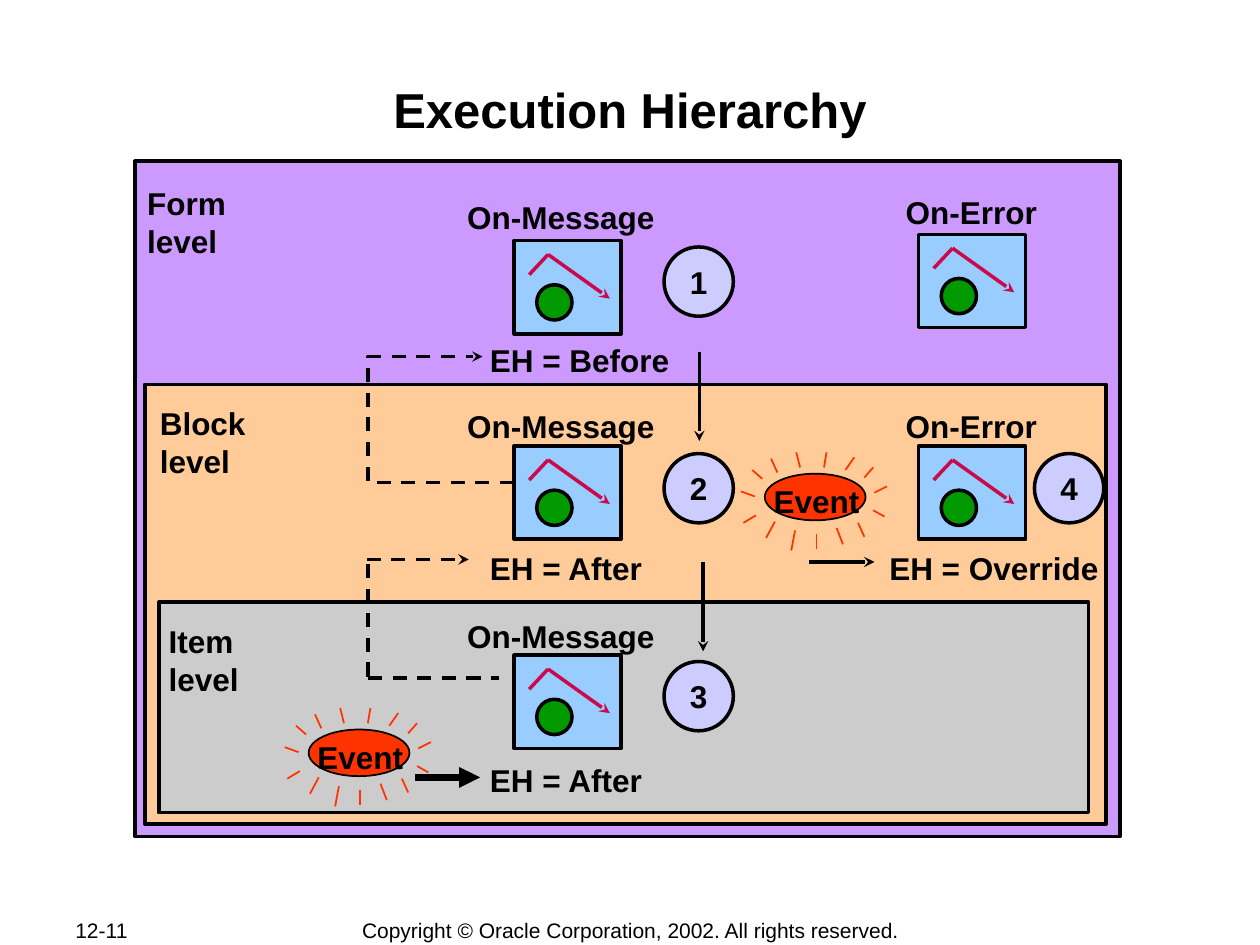
from lxml import etree
from pptx import Presentation
from pptx.dml.color import RGBColor
from pptx.enum.dml import MSO_LINE
from pptx.enum.shapes import MSO_CONNECTOR, MSO_SHAPE
from pptx.enum.text import MSO_ANCHOR, PP_ALIGN
from pptx.oxml.ns import qn
from pptx.util import Inches, Pt

RECT, OVAL = MSO_SHAPE.RECTANGLE, MSO_SHAPE.OVAL
STRAIGHT, DASH = MSO_CONNECTOR.STRAIGHT, MSO_LINE.DASH
TOP, MIDDLE = MSO_ANCHOR.TOP, MSO_ANCHOR.MIDDLE
LEFT, CENTER = PP_ALIGN.LEFT, PP_ALIGN.CENTER
BLACK, RED = "000000", "FF3300"
RAYS = [
    (0.10, -0.01, 0.05, -0.12), (0.28, -0.05, 0.25, -0.17),
    (0.47, -0.05, 0.49, -0.17), (0.64, -0.03, 0.71, -0.13),
    (0.79, 0.03, 0.86, -0.05), (0.97, 0.10, 0.87, 0.15),
    (0.95, 0.34, 0.86, 0.29), (0.79, 0.50, 0.74, 0.39),
    (0.62, 0.56, 0.57, 0.43), (0.41, 0.60, 0.41, 0.48),
    (0.21, 0.61, 0.24, 0.45), (0.01, 0.51, 0.08, 0.38),
    (-0.17, 0.39, -0.07, 0.33), (-0.19, 0.14, -0.08, 0.18),
    (-0.10, -0.03, -0.02, 0.04),
]


def color(code):
    """Return the colour for a hex string."""
    return RGBColor.from_string(code)


def write(frame, text, size=18, bold=True, align=LEFT, anchor=TOP):
    """Fill a text frame, breaking lines at each newline."""
    frame.word_wrap = False
    frame.vertical_anchor = anchor
    para = frame.paragraphs[0]
    para.alignment = align
    for i, line in enumerate(text.split("\n")):
        if i:
            para.add_line_break()
        run = para.add_run()
        run.text = line
        run.font.name = "Arial"
        run.font.size = Pt(size)
        run.font.bold = bold
        run.font.color.rgb = color(BLACK)


def label(slide, box, text, **style):
    """Add a text box."""
    area = slide.shapes.add_textbox(*map(Inches, box))
    write(area.text_frame, text, **style)


def shape(slide, kind, box, fill, width=2):
    """Add a filled shape with a black outline."""
    item = slide.shapes.add_shape(kind, *map(Inches, box))
    item.shadow.inherit = False
    item.fill.solid()
    item.fill.fore_color.rgb = color(fill)
    item.line.color.rgb = color(BLACK)
    item.line.width = Pt(width)
    return item


def stroke(item, code, width, head=None, dash=False):
    """Style a line and its arrowhead."""
    item.line.color.rgb = color(code)
    item.line.width = Pt(width)
    if dash:
        item.line.dash_style = DASH
    if head:
        etree.SubElement(item.line._get_or_add_ln(), qn("a:tailEnd"), type=head)


def line(slide, ends, code=BLACK, width=2, head=None, dash=False):
    """Add a straight line between two points."""
    item = slide.shapes.add_connector(STRAIGHT, *map(Inches, ends))
    stroke(item, code, width, head, dash)
    etree.SubElement(item._element.spPr, qn("a:effectLst"))


def path(slide, points):
    """Add a dashed open outline that ends in an arrow."""
    spots = [(Inches(x), Inches(y)) for x, y in points]
    pen = slide.shapes.build_freeform(*spots[0])
    pen.add_line_segments(spots[1:], close=False)
    item = pen.convert_to_shape()
    item.shadow.inherit = False
    item.fill.background()
    stroke(item, BLACK, 2, "stealth", True)


def level(slide, box, fill, name, shift, width):
    """Draw one nested level with its name in the corner."""
    shape(slide, RECT, box, fill)
    label(slide, (box[0] + shift[0], box[1] + shift[1], width, 0.7), name)


def icon(slide, x, y):
    """Draw a trigger icon at its top left corner."""
    shape(slide, RECT, (x, y, 0.85, 0.74), "99CCFF")
    shape(slide, OVAL, (x + 0.18, y + 0.35, 0.28, 0.28), "009900")
    top = (x + 0.27, y + 0.11)
    line(slide, (*top, x + 0.12, y + 0.27), "CB0A4C")
    line(slide, (*top, x + 0.76, y + 0.46), "CB0A4C", head="stealth")


def event(slide, x, y):
    """Draw an event oval with rays around it."""
    shape(slide, OVAL, (x, y, 0.8, 0.37), RED, 1)
    label(slide, (x - 0.03, y + 0.02, 0.88, 0.4), "Event", align=CENTER)
    for a, b, c, d in RAYS:
        line(slide, (x + a, y + b, x + c, y + d), RED, 1)


def step(slide, x, y, text):
    """Draw a numbered circle."""
    disc = shape(slide, OVAL, (x, y, 0.55, 0.55), "CCCCFF")
    write(disc.text_frame, text, align=CENTER, anchor=MIDDLE)


def heading(slide, box, text):
    """Place the title placeholder."""
    title = slide.shapes.title
    title.left, title.top, title.width, title.height = map(Inches, box)
    write(title.text_frame, text, size=28, align=CENTER)
    frame = title.text_frame
    frame.word_wrap = True
    frame.margin_top = frame.margin_bottom = Inches(0.01)


def footer(slide, y):
    """Place the page number and the copyright line."""
    small = {"size": 12, "bold": False, "anchor": MIDDLE}
    label(slide, (0.5, y, 1.06, 0.2), "12-11", **small)
    label(slide, (2.76, y, 4.49, 0.21),
          "Copyright © Oracle Corporation, 2002. All rights reserved.",
          align=CENTER, **small)


def flow(slide):
    """Draw the arrows that join the levels."""
    line(slide, (3.29, 6.17, 3.81, 6.17), width=4, head="triangle")
    line(slide, (6.42, 4.46, 6.94, 4.46), head="stealth")
    line(slide, (5.55, 2.79, 5.55, 3.5), head="stealth")
    line(slide, (5.58, 4.46, 5.58, 5.17), head="stealth")
    line(slide, (2.91, 4.44, 3.72, 4.44), head="stealth", dash=True)
    line(slide, (2.92, 5.37, 2.92, 4.45), dash=True)
    line(slide, (2.92, 5.38, 3.96, 5.38), dash=True)
    path(slide, [(4.08, 3.83), (2.92, 3.83), (2.92, 2.83), (3.83, 2.83)])


def main():
    """Build the slide and save it."""
    deck = Presentation()
    deck.slide_width, deck.slide_height = Inches(10), Inches(7.5)
    slide = deck.slides.add_slide(deck.slide_layouts[5])
    footer(slide, 7.28)
    heading(slide, (1, 0.62, 8, 0.96), "Execution Hierarchy")
    for row in [
        ((1.07, 1.28, 7.82, 5.36), "CC99FF", "Form \nlevel", (0, 0.13), 0.9),
        ((1.15, 3.05, 7.63, 3.49), "FFCC99", "Block \nlevel", (0.02, 0.11), 0.95),
        ((1.26, 4.78, 7.38, 1.67), "CCCCCC", "Item \nlevel", (-0.02, 0.11), 0.79),
    ]:
        level(slide, *row)
    for x, y in [(4.08, 5.2), (4.08, 3.54), (4.08, 1.91), (7.29, 1.86), (7.29, 3.54)]:
        icon(slide, x, y)
    event(slide, 2.45, 5.79)
    for y in (1.52, 3.18, 4.85):
        label(slide, (3.61, y, 1.69, 0.4), "On-Message")
    for y in (1.48, 3.18):
        label(slide, (7.09, y, 1.24, 0.4), "On-Error")
    for x, y, width, mode in [(3.79, 5.99, 1.42, "After"), (3.79, 4.31, 1.42, "After"),
                              (3.79, 2.66, 1.63, "Before"), (6.96, 4.31, 1.86, "Override")]:
        label(slide, (x, y, width, 0.4), f"EH = {mode}")
    for x, y, text in [(5.27, 1.96, "1"), (5.27, 3.6, "2"), (5.27, 5.25, "3"), (8.21, 3.6, "4")]:
        step(slide, x, y, text)
    event(slide, 6.07, 3.76)
    flow(slide)
    deck.save("out.pptx")


if __name__ == "__main__":
    main()
